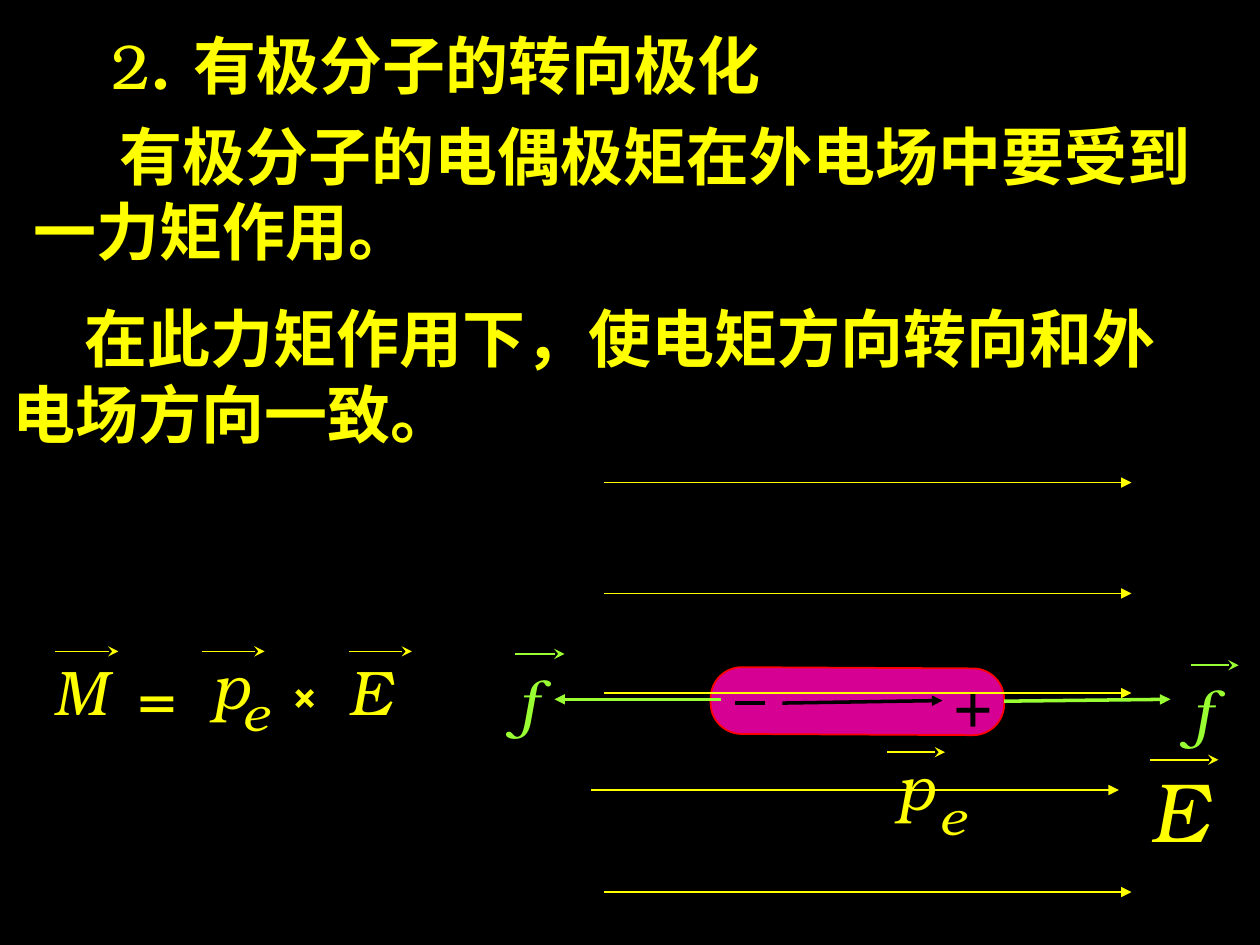
from dataclasses import dataclass

from lxml import etree
from pptx import Presentation
from pptx.dml.color import RGBColor
from pptx.enum.shapes import MSO_CONNECTOR, MSO_SHAPE
from pptx.enum.text import MSO_AUTO_SIZE
from pptx.oxml.ns import qn
from pptx.util import Inches, Pt

STRAIGHT = MSO_CONNECTOR.STRAIGHT
ROUNDED = MSO_SHAPE.ROUNDED_RECTANGLE
GROW = MSO_AUTO_SIZE.SHAPE_TO_FIT_TEXT
RIGHT_SIDE = 3


@dataclass(frozen=True)
class Theme:
    font: str = "TeX Gyre Bonum"
    background: str = "000000"
    main: str = "FFFF00"
    force: str = "99FF33"
    charge: str = "000000"
    molecule: str = "D60093"
    outline: str = "FF0000"
    body: int = 36
    subscript: int = 28
    operator: int = 24
    field: int = 48
    thin: int = 1
    thick: int = 2


THEME = Theme()

TITLE = ("2", ". 有极分子的转向极化")
TORQUE = ("有极分子的电偶极矩在外电场中要受到", "一力矩作用。")
ALIGNMENT = ("在此力矩作用下，使电矩方向转向和外", "电场方向一致。")

MOLECULE = (5.64, 5.3, 2.33, 0.53)
FORCE_Y = 5.55
FIELD_LENGTH = 4.19
FIELD_STARTS = [(4.79, 5.5), (4.79, 3.83), (4.79, 4.71), (4.69, 6.27), (4.79, 7.08)]

DIPOLE_SYMBOLS = [
    ("p", 7.02, 5.88, 0.5, THEME.body, THEME.main),
    ("e", 7.36, 6.19, 0.41, THEME.subscript, THEME.main),
    ("f", 4.0, 5.22, 0.37, THEME.body, THEME.force),
    ("f", 9.35, 5.3, 0.37, THEME.body, THEME.force),
    ("E", 9.03, 5.97, 0.66, THEME.field, THEME.main),
]
DIPOLE_VECTORS = [
    (7.04, 5.97, 0.46, THEME.main),
    (4.09, 5.19, 0.39, THEME.force),
    (9.45, 5.28, 0.38, THEME.force),
    (9.13, 6.03, 0.54, THEME.main),
]
FORMULA_SYMBOLS = [
    ("E", 2.67, 5.13, 0.54, THEME.body, THEME.main),
    ("M", 0.33, 5.13, 0.63, THEME.body, THEME.main),
    ("p", 1.58, 5.08, 0.5, THEME.body, THEME.main),
    ("e", 1.83, 5.37, 0.41, THEME.subscript, THEME.main),
]
FORMULA_VECTORS = [(left, 5.17, 0.5, THEME.main) for left in (1.6, 2.77, 0.44)]


def color(value):
    return RGBColor.from_string(value)


def style(font, size, tint, bold=None, italic=None):
    font.name, font.size, font.bold, font.italic = THEME.font, Pt(size), bold, italic
    font.color.rgb = color(tint)


def add_box(shapes, left, top, width, size, lines=1, wrap=True):
    height = lines * size * 1.2 / 72 + 0.1
    box = shapes.add_textbox(*map(Inches, (left, top, width, height)))
    box.text_frame.word_wrap = wrap
    box.text_frame.auto_size = GROW
    return box.text_frame


def indent_first(paragraph, indent):
    properties = paragraph._p.get_or_add_pPr()
    properties.set("marL", "0")
    properties.set("indent", str(Inches(indent)))


def add_passage(shapes, passage, left, top, width, indent):
    frame = add_box(shapes, left, top, width, THEME.body, len(passage))
    frame.text = "\n".join(passage)
    indent_first(frame.paragraphs[0], indent)
    for paragraph in frame.paragraphs:
        style(paragraph.font, THEME.body, THEME.main, bold=True)


def add_symbol(shapes, symbol, left, top, width, size, tint, bold=None, italic=True):
    paragraph = add_box(shapes, left, top, width, size, wrap=False).paragraphs[0]
    paragraph.text = symbol
    style(paragraph.font, size, tint, bold, italic)


def add_line(shapes, start, end, tint, width=THEME.thin, head=None):
    line = shapes.add_connector(STRAIGHT, *map(Inches, (*start, *end)))
    line.line.color.rgb = color(tint)
    line.line.width = Pt(width)
    if head:
        etree.SubElement(line.line._get_or_add_ln(), qn("a:tailEnd"), type=head)
    etree.SubElement(line._element.spPr, qn("a:effectLst"))
    return line


def add_vectors(shapes, vectors):
    for left, top, length, tint in vectors:
        add_line(shapes, (left, top), (left + length, top), tint, head="stealth")


def add_title(shapes):
    paragraph = add_box(shapes, 0.15, 0.16, 6.4, THEME.body).paragraphs[0]
    indent_first(paragraph, 0.64)
    for words, bold in zip(TITLE, (None, True)):
        run = paragraph.add_run()
        run.text = words
        style(run.font, THEME.body, THEME.main, bold)


def add_dipole(shapes):
    molecule = shapes.add_shape(ROUNDED, *map(Inches, MOLECULE))
    molecule.adjustments[0] = 0.465
    molecule.rotation = 0.3
    molecule.shadow.inherit = False
    molecule.fill.solid()
    molecule.fill.fore_color.rgb = color(THEME.molecule)
    molecule.line.color.rgb = color(THEME.outline)
    molecule.line.width = Pt(THEME.thin)

    add_symbol(shapes, "+", 7.48, 5.22, 0.56, THEME.body, THEME.charge, italic=None)
    add_line(shapes, (5.83, 5.58), (6.07, 5.58), THEME.charge, THEME.thick)
    add_line(shapes, (6.21, 5.58), (7.48, 5.56), THEME.charge, THEME.thick, "triangle")
    pull = add_line(shapes, (7.97, FORCE_Y), (9.29, FORCE_Y),
                    THEME.force, THEME.thick, "triangle")
    pull.begin_connect(molecule, RIGHT_SIDE)
    add_line(shapes, (5.72, FORCE_Y), (4.4, FORCE_Y), THEME.force, THEME.thick, "triangle")
    for left, top in FIELD_STARTS:
        add_line(shapes, (left, top), (left + FIELD_LENGTH, top), THEME.main, head="triangle")
    for symbol in DIPOLE_SYMBOLS:
        add_symbol(shapes, *symbol)
    add_vectors(shapes, DIPOLE_VECTORS)


def add_formula(shapes):
    for symbol in FORMULA_SYMBOLS:
        add_symbol(shapes, *symbol)
    add_symbol(shapes, "=", 1, 5.17, 0.5, THEME.body, THEME.main, italic=None)
    add_symbol(shapes, "×", 2.22, 5.25, 0.4, THEME.operator, THEME.main, True, None)
    add_vectors(shapes, FORMULA_VECTORS)


def main():
    """Build the slide on orientation polarization of polar molecules."""
    deck = Presentation()
    deck.slide_width, deck.slide_height = Inches(10), Inches(7.5)
    slide = deck.slides.add_slide(deck.slide_layouts[6])
    slide.background.fill.solid()
    slide.background.fill.fore_color.rgb = color(THEME.background)
    shapes = slide.shapes
    add_title(shapes)
    add_passage(shapes, ALIGNMENT, 0, 2.33, 9.72, 0.57)
    add_dipole(shapes.add_group_shape().shapes)
    add_passage(shapes, TORQUE, 0.17, 0.88, 9.48, 0.68)
    add_formula(shapes.add_group_shape().shapes)
    deck.save("out.pptx")


if __name__ == "__main__":
    main()
